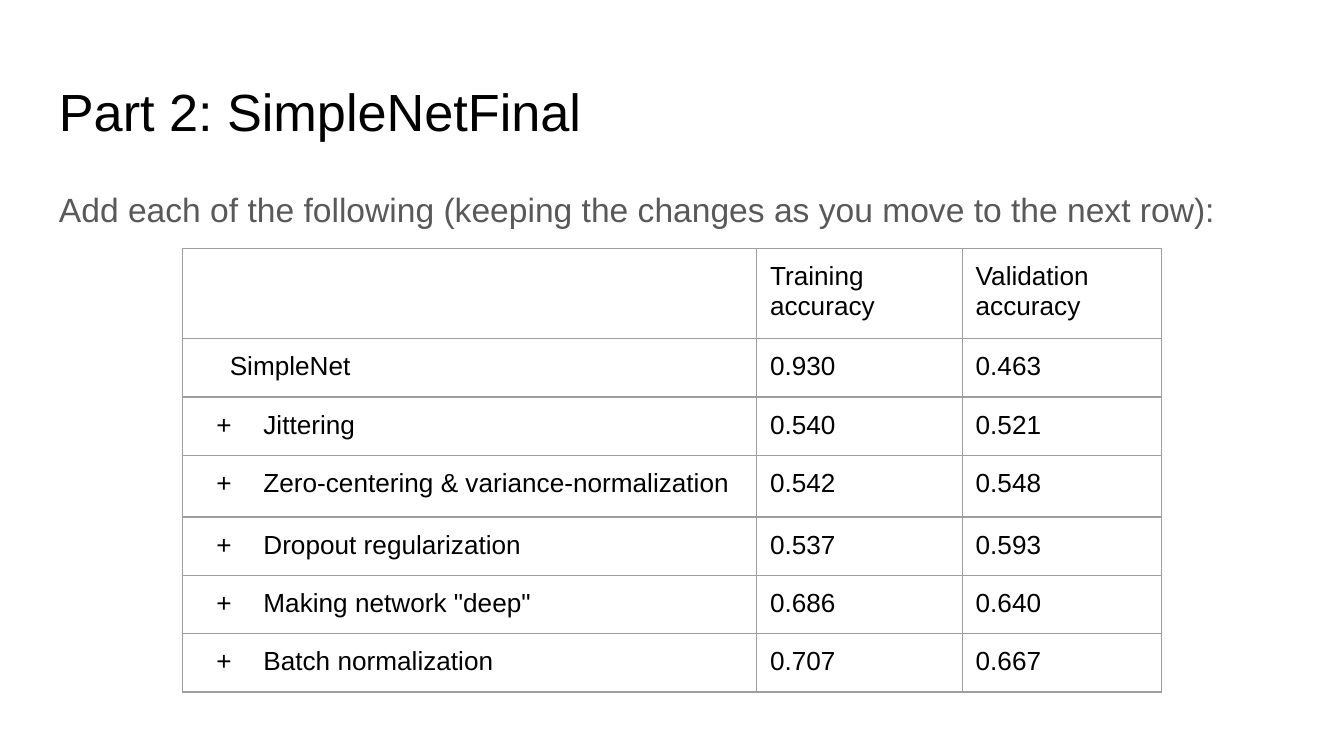
from lxml import etree
from pptx import Presentation
from pptx.dml.color import RGBColor
from pptx.oxml import ns
from pptx.util import Inches, Pt

BLACK = RGBColor(0x00, 0x00, 0x00)
GRAY = RGBColor(0x59, 0x59, 0x59)
BORDER = RGBColor(0x9E, 0x9E, 0x9E)
INSET = Inches(0.1)

COLUMN_WIDTHS = (4.27, 1.53, 1.48)
ROW_HEIGHTS = (0.67, 0.43, 0.43, 0.46, 0.43, 0.42, 0.42)
HEADINGS = ("", "Training accuracy", "Validation accuracy")
RESULTS = (
    ("SimpleNet", "0.930", "0.463"),
    ("Jittering", "0.540", "0.521"),
    ("Zero-centering & variance-normalization", "0.542", "0.548"),
    ("Dropout regularization", "0.537", "0.593"),
    ('Making network "deep"', "0.686", "0.640"),
    ("Batch normalization", "0.707", "0.667"),
)


def add_child(parent, tag, **attributes):
    return etree.SubElement(parent, ns.qn(tag), **attributes)


def set_font(paragraph, size, color):
    paragraph.font.name = "Arial"
    paragraph.font.size = Pt(size)
    paragraph.font.color.rgb = color


def add_line_of_text(slide, wording, top, height, size, color, spacing=1.0):
    box = slide.shapes.add_textbox(
        Inches(0.34), Inches(top), Inches(9.32), Inches(height))
    frame = box.text_frame
    frame.word_wrap = True
    frame.margin_left = frame.margin_right = INSET
    frame.margin_top = frame.margin_bottom = INSET
    paragraph = frame.paragraphs[0]
    paragraph.text = wording
    paragraph.line_spacing = spacing
    set_font(paragraph, size, color)


def set_indent(paragraph, left, first=0):
    properties = paragraph._p.get_or_add_pPr()
    properties.set("marL", str(Inches(left)))
    properties.set("indent", str(Inches(first)))
    return properties


def add_plus_bullet(paragraph):
    properties = set_indent(paragraph, 0.5, -0.35)
    bullet_color = add_child(properties, "a:buClr")
    add_child(bullet_color, "a:srgbClr", val=str(BLACK))
    add_child(properties, "a:buFont", typeface="Arial")
    add_child(properties, "a:buChar", char="+")


def add_borders(cell):
    properties = cell._tc.get_or_add_tcPr()
    for side in ("a:lnL", "a:lnR", "a:lnT", "a:lnB"):
        line = add_child(properties, side, w=str(Pt(0.75)))
        fill = add_child(line, "a:solidFill")
        add_child(fill, "a:srgbClr", val=str(BORDER))


def fill_cell(cell, wording):
    cell.text = wording
    cell.margin_left = cell.margin_right = INSET
    cell.margin_top = cell.margin_bottom = INSET
    add_borders(cell)
    cell.fill.background()
    return cell.text_frame.paragraphs[0]


def add_accuracy_table(slide):
    rows = (HEADINGS, *RESULTS)
    table = slide.shapes.add_table(
        len(rows), len(HEADINGS), Inches(1.36), Inches(1.85),
        Inches(sum(COLUMN_WIDTHS)), Inches(sum(ROW_HEIGHTS))).table
    table.first_row = table.horz_banding = False
    for column, width in zip(table.columns, COLUMN_WIDTHS):
        column.width = Inches(width)
    for row, height in zip(table.rows, ROW_HEIGHTS):
        row.height = Inches(height)
    for row_index, row in enumerate(rows):
        for column_index, wording in enumerate(row):
            paragraph = fill_cell(table.cell(row_index, column_index), wording)
            if column_index == 0 and row_index == 1:
                set_indent(paragraph, 0.25)
            elif column_index == 0 and row_index > 1:
                add_plus_bullet(paragraph)
            set_font(paragraph, 14, BLACK)


def main():
    presentation = Presentation()
    presentation.slide_width = Inches(10)
    presentation.slide_height = presentation.slide_width * 9 // 16
    slide = presentation.slides.add_slide(presentation.slide_layouts[6])
    add_line_of_text(slide, "Part 2: SimpleNetFinal", 0.49, 0.63, 28, BLACK)
    add_line_of_text(
        slide,
        "Add each of the following (keeping the changes as you move to the next row):",
        1.26, 0.49, 18, GRAY, spacing=1.15)
    add_accuracy_table(slide)
    presentation.save("out.pptx")


if __name__ == "__main__":
    main()
